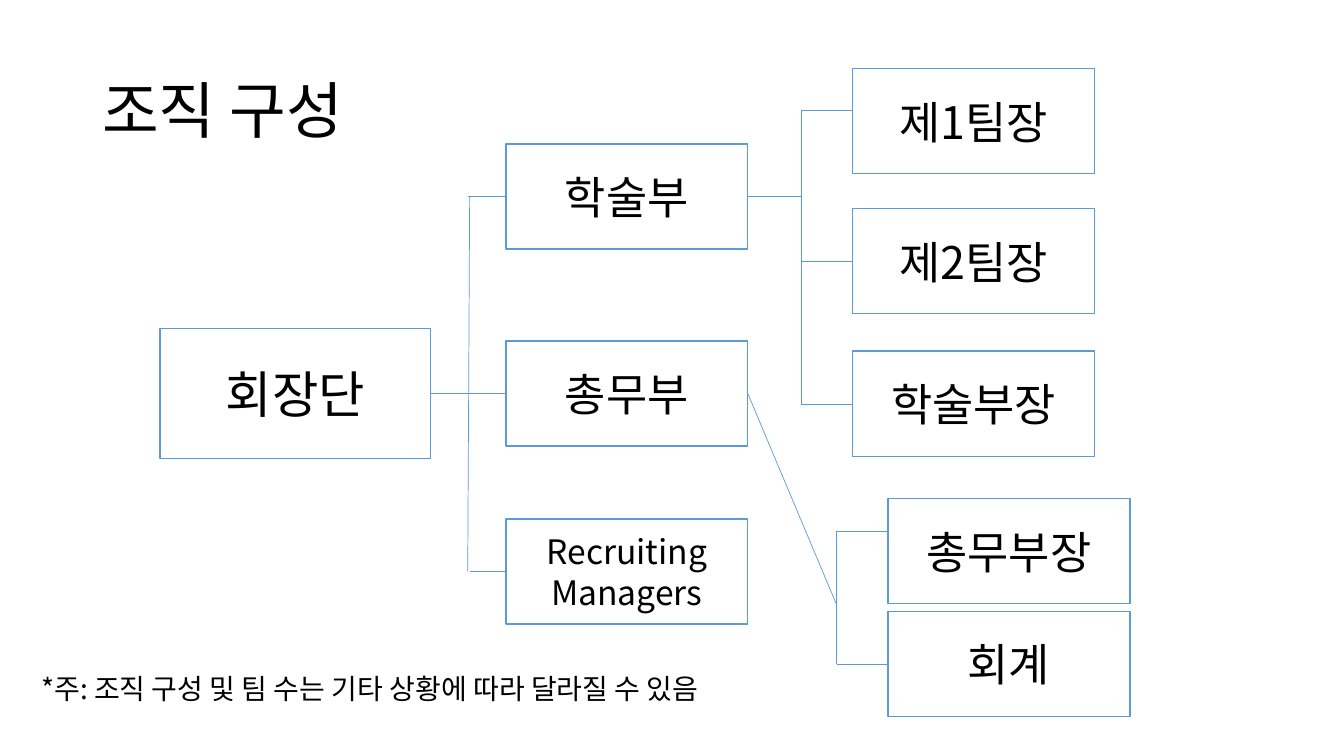
import pptx
import pptx.util
import pptx.dml.color
import pptx.enum.shapes
import pptx.enum.text
import pptx.oxml.ns
import lxml.etree

Pt = pptx.util.Pt
COLORS = {"text": "000000", "box": "FFFFFF", "border": "5B9BD5"}
FONT = "Noto Sans CJK KR"
RGB = {name: pptx.dml.color.RGBColor.from_string(value) for name, value in COLORS.items()}
ALIGN = pptx.enum.text.PP_ALIGN

deck = pptx.Presentation()
deck.slide_width, deck.slide_height = Pt(960), Pt(540)
slide = deck.slides.add_slide(deck.slide_layouts[6])


def write(shape, text, size, align, spacing):
    """Put one styled, vertically centred paragraph into a shape."""
    frame = shape.text_frame
    frame.word_wrap = True
    frame.vertical_anchor = pptx.enum.text.MSO_ANCHOR.MIDDLE
    paragraph = frame.paragraphs[0]
    paragraph.alignment, paragraph.line_spacing = align, spacing
    run = paragraph.add_run()
    run.text = text
    for name, value in {"name": FONT, "size": Pt(size)}.items():
        setattr(run.font, name, value)
    run.font.color.rgb = RGB["text"]
    east_asian = lxml.etree.SubElement(run.font._element, pptx.oxml.ns.qn("a:ea"))
    east_asian.set("typeface", FONT)


def connect(x1, y1, x2, y2):
    """Draw one thin branch line without a shadow."""
    branch = slide.shapes.add_connector(
        pptx.enum.shapes.MSO_CONNECTOR.STRAIGHT, Pt(x1), Pt(y1), Pt(x2), Pt(y2))
    branch.line.color.rgb = RGB["border"]
    branch.line.width = Pt(0.5)
    lxml.etree.SubElement(branch._element.spPr, pptx.oxml.ns.qn("a:effectLst"))


# Title and footnote
for text, size, bounds in [
    ("조직 구성", 44, (66, 28.8, 828, 104.4)),
    ("*주: 조직 구성 및 팀 수는 기타 상황에 따라 달라질 수 있음", 20, (22.3, 466.6, 568, 53.3)),
]:
    caption = slide.shapes.add_textbox(*map(Pt, bounds))
    write(caption, text, size, ALIGN.LEFT, 0.9)

# Branches: each group has a trunk and one stub per member
ROOT_RIGHT, DEPT_LEFT, DEPT_RIGHT = 307.5, 361.4, 534.2
ACADEMIC_Y, AFFAIRS_Y, RECRUITING_Y = 140.4, 281.2, 408.2
TEAM_TRUNK, TEAM_LEFT = 572.4, 609.1
AFFAIRS_TRUNK, AFFAIRS_LEFT = 597.6, 634.3

for ends in [
    (335.5, ACADEMIC_Y, 334.1, RECRUITING_Y),
    (ROOT_RIGHT, AFFAIRS_Y, DEPT_LEFT, AFFAIRS_Y),
    (334.1, ACADEMIC_Y, DEPT_LEFT, ACADEMIC_Y),
    (335.5, RECRUITING_Y, DEPT_LEFT, RECRUITING_Y),
    (DEPT_RIGHT, ACADEMIC_Y, TEAM_TRUNK, ACADEMIC_Y),
    (DEPT_RIGHT, AFFAIRS_Y, AFFAIRS_TRUNK, 432),
]:
    connect(*ends)

for trunk, member_left, stubs in [
    (TEAM_TRUNK, TEAM_LEFT, [78.5, 186.5, 288.7]),
    (AFFAIRS_TRUNK, AFFAIRS_LEFT, [379.4, 474.5]),
]:
    connect(trunk, stubs[0], trunk, stubs[-1])
    for y in stubs:
        connect(trunk, y, member_left, y)

# Organisation boxes
UNIT = (172.8, 75.1)
for text, size, left, top, (width, height) in [
    ("회장단", 36, 114.3, 234.7, (193.2, 92.9)),
    ("학술부", 32, DEPT_LEFT, 102.9, UNIT),
    ("총무부", 32, DEPT_LEFT, 243.6, UNIT),
    ("Recruiting Managers", 24, DEPT_LEFT, 370.6, UNIT),
    ("제1팀장", 32, TEAM_LEFT, 49, UNIT),
    ("제2팀장", 32, TEAM_LEFT, 149, UNIT),
    ("학술부장", 32, TEAM_LEFT, 250.8, UNIT),
    ("총무부장", 32, AFFAIRS_LEFT, 356.2, UNIT),
    ("회계", 32, AFFAIRS_LEFT, 436.8, UNIT),
]:
    box = slide.shapes.add_shape(
        pptx.enum.shapes.MSO_SHAPE.RECTANGLE, Pt(left), Pt(top), Pt(width), Pt(height))
    box.shadow.inherit = False
    box.fill.solid()
    box.fill.fore_color.rgb = RGB["box"]
    box.line.color.rgb = RGB["border"]
    box.line.width = Pt(1)
    write(box, text, size, ALIGN.CENTER, 1.0)

deck.save("out.pptx")
